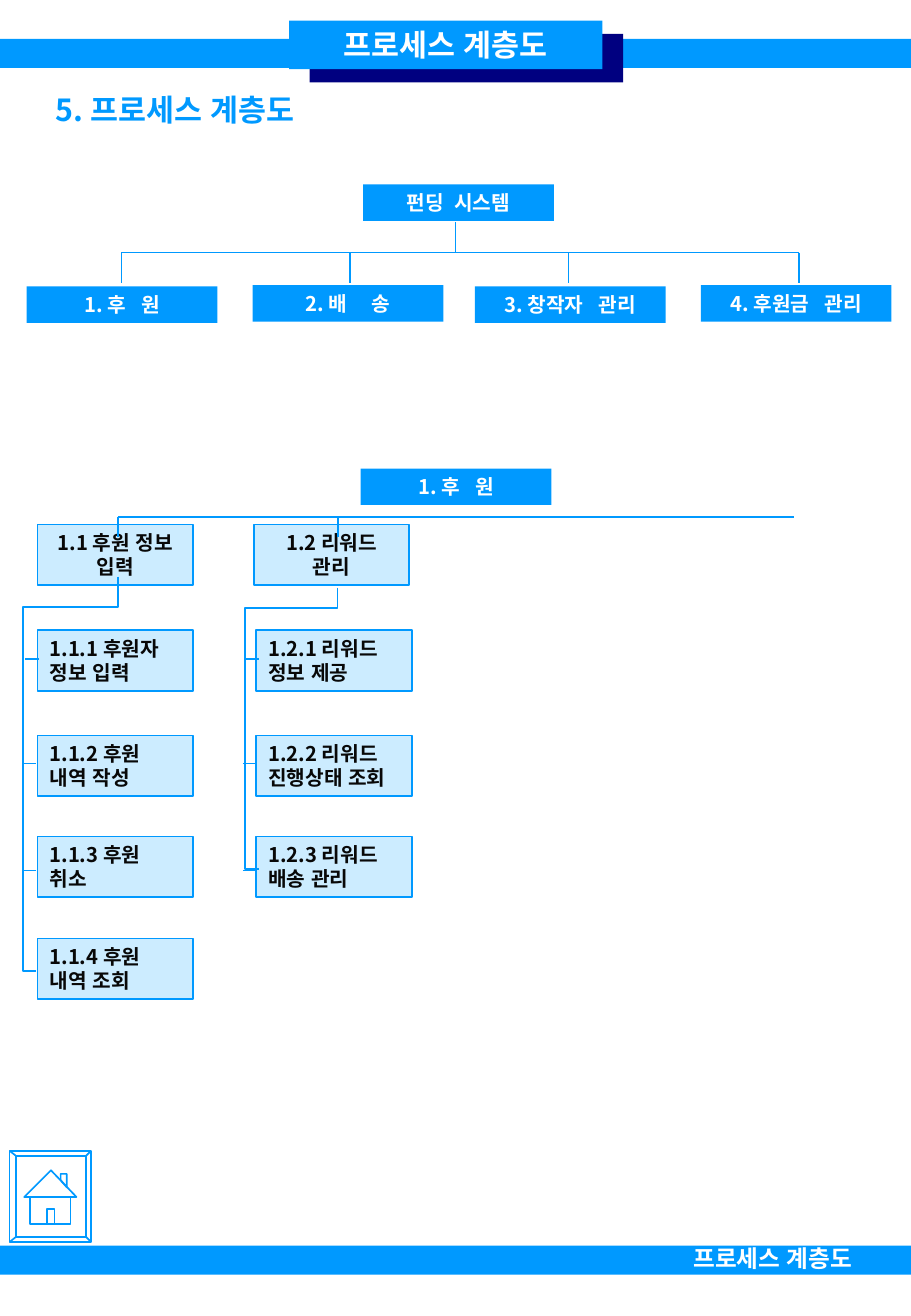
"""Builds the process hierarchy page of the funding system."""
from dataclasses import dataclass
from typing import Optional

from lxml.etree import SubElement
from pptx import Presentation
from pptx.dml.color import RGBColor
from pptx.enum.lang import MSO_LANGUAGE_ID
from pptx.enum.shapes import MSO_CONNECTOR, MSO_SHAPE
from pptx.enum.text import MSO_ANCHOR, MSO_AUTO_SIZE, PP_ALIGN
from pptx.oxml.ns import qn
from pptx.util import Emu, Pt

PX_PER_INCH = 100
SCALE = 914400 // PX_PER_INCH
FONT = "Noto Sans CJK KR"
BLUE, PALE, NAVY, WHITE, BLACK = "0099FF", "CCECFF", "000080", "FFFFFF", "080808"
LINE_HEIGHT = 1.19

Point = tuple[int, int]


@dataclass(frozen=True)
class Box:
    x: int
    y: int
    w: int
    h: int
    text: str = ""
    fill: str = BLUE
    outline: Optional[str] = None
    ink: str = WHITE
    size: int = 12
    align: PP_ALIGN = PP_ALIGN.CENTER
    last_gap: float = 0


@dataclass(frozen=True)
class Contour:
    points: list[Point]
    closed: bool = True


def px(length: int) -> Emu:
    return Emu(length * SCALE)


def colour(value: str) -> RGBColor:
    return RGBColor.from_string(value)


def write(frame, text: str, size: int, ink: str, align: PP_ALIGN,
          anchor: MSO_ANCHOR, last_gap: float = 0) -> None:
    frame.word_wrap = True
    frame.auto_size = MSO_AUTO_SIZE.NONE
    frame.vertical_anchor = anchor
    frame.margin_left = frame.margin_right = px(10)
    frame.margin_top = frame.margin_bottom = px(5)
    paragraph = frame.paragraphs[0]
    if last_gap:
        for part in text.rpartition(" "):
            run = paragraph.add_run()
            run.text = part
            if part == " ":
                run.font._element.set("spc", str(round(last_gap * 100)))
    else:
        paragraph.text = text
    paragraph.alignment = align
    paragraph.line_spacing = Pt(round(size * LINE_HEIGHT, 1))
    font = paragraph.font
    font.name, font.size, font.bold = FONT, Pt(size), True
    font.color.rgb = colour(ink)
    font.language_id = MSO_LANGUAGE_ID.KOREAN
    SubElement(font._element, qn("a:ea")).set("typeface", FONT)


def draw_box(shapes, box: Box) -> None:
    shape = shapes.add_shape(MSO_SHAPE.RECTANGLE, px(box.x), px(box.y), px(box.w), px(box.h))
    shape.shadow.inherit = False
    shape.fill.solid()
    shape.fill.fore_color.rgb = colour(box.fill)
    if box.outline:
        shape.line.color.rgb = colour(box.outline)
        shape.line.width = Pt(1)
    else:
        shape.line.fill.background()
    if box.text:
        write(shape.text_frame, box.text, box.size, box.ink, box.align,
              MSO_ANCHOR.MIDDLE, box.last_gap)


def draw_line(shapes, start: Point, end: Point) -> None:
    line = shapes.add_connector(MSO_CONNECTOR.STRAIGHT, *map(px, start), *map(px, end))
    line.line.color.rgb = colour(BLUE)
    line.line.width = Pt(1)
    SubElement(line._element.spPr, qn("a:effectLst"))


def draw_outline(shapes, contours: list[Contour]) -> None:
    builder = shapes.build_freeform(*contours[0].points[0], scale=SCALE)
    for index, contour in enumerate(contours):
        if index:
            builder.move_to(*contour.points[0])
        builder.add_line_segments(contour.points[1:], close=contour.closed)
    outline = builder.convert_to_shape()
    outline.shadow.inherit = False
    outline.fill.background()
    outline.line.color.rgb = colour(BLUE)
    outline.line.width = Pt(1)


def system(x: int, y: int, text: str, last_gap: float) -> Box:
    return Box(x, y, 157, 30, text, last_gap=last_gap)


def process(x: int, y: int, text: str, align: PP_ALIGN = PP_ALIGN.LEFT) -> Box:
    return Box(x, y, 128, 50, text, PALE, BLUE, BLACK, align=align)


def draw_system_tree(shapes) -> None:
    draw_box(shapes, system(299, 152, "펀딩 시스템", 2.7))
    branches = [
        (system(22, 236, "1. 후 원", 5.4), 100),
        (system(208, 235, "2. 배 송", 10.8), 288),
        (system(391, 236, "3. 창작자 관리", 5.4), 468),
        (system(577, 235, "4. 후원금 관리", 5.4), 658),
    ]
    draw_line(shapes, (375, 183), (375, 208))
    draw_line(shapes, (100, 208), (658, 208))
    for branch, drop in branches:
        draw_box(shapes, branch)
        draw_line(shapes, (drop, 208), (drop, 233))


def draw_support_tree(shapes) -> None:
    rows = [519, 606, 689, 773]
    tick_rows = [543, 629, 717]
    draw_box(shapes, system(297, 386, "1. 후 원", 5.4))
    groups = [
        (process(31, 432, "1.1 후원 정보 입력", PP_ALIGN.CENTER), 31,
         ["1.1.1 후원자 정보 입력", "1.1.2 후원 내역 작성", "1.1.3 후원 취소", "1.1.4 후원 내역 조회"],
         [(97, 475), (97, 500), (19, 500), (19, 800), (30, 800)], [21, 19, 19]),
        (process(209, 432, "1.2 리워드 관리", PP_ALIGN.CENTER), 211,
         ["1.2.1 리워드 정보 제공", "1.2.2 리워드 진행상태 조회", "1.2.3 리워드 배송 관리"],
         [(278, 484), (278, 501), (202, 501), (202, 716), (213, 716)], [202, 200, 200]),
    ]
    draw_line(shapes, (97, 426), (654, 426))
    for heading, left, steps, trunk, ticks in groups:
        draw_box(shapes, heading)
        for top, step in zip(rows, steps):
            draw_box(shapes, process(left, top, step))
        draw_outline(shapes, [Contour(trunk, closed=False)])
        for x, y in zip(ticks, tick_rows):
            draw_line(shapes, (x, y), (x + 11, y))
        drop = trunk[0][0]
        draw_line(shapes, (drop, 442), (drop, 426))


def draw_home_button(shapes) -> None:
    rim = [(8, 948), (75, 948), (75, 1023), (8, 1023)]
    face = [(13, 952), (71, 952), (71, 1019), (13, 1019)]
    bevels = [Contour([outer, inner], closed=False) for outer, inner in zip(rim, face)]
    roof = [(42, 964), (63, 986), (20, 986)]
    chimney = [(50, 972), (50, 967), (55, 967), (55, 978)]
    walls = [(25, 986), (58, 986), (58, 1008), (25, 1008)]
    door = [(39, 996), (45, 996), (45, 1008), (39, 1008)]
    draw_outline(shapes, [Contour(rim), Contour(face), *bevels, Contour(roof),
                          Contour(chimney), Contour(walls), Contour(door)])


def main() -> None:
    deck = Presentation()
    deck.slide_width, deck.slide_height = px(750), px(1084)
    shapes = deck.slides.add_slide(deck.slide_layouts[5]).shapes

    heading = shapes.title
    heading.left, heading.top, heading.width, heading.height = map(px, (36, 70, 464, 40))
    write(heading.text_frame, "5. 프로세스 계층도", 18, BLUE, PP_ALIGN.LEFT, MSO_ANCHOR.TOP)

    for bar_top in (1026, 32):
        draw_box(shapes, Box(0, bar_top, 750, 24))
    footer = shapes.add_textbox(px(561), px(1020), px(173), px(34))
    write(footer.text_frame, "프로세스 계층도", 14, WHITE, PP_ALIGN.LEFT, MSO_ANCHOR.TOP)

    draw_system_tree(shapes)
    draw_support_tree(shapes)
    draw_box(shapes, Box(255, 28, 258, 40, fill=NAVY))
    draw_box(shapes, Box(238, 17, 258, 40, "프로세스 계층도", size=18))
    draw_home_button(shapes)
    deck.save("out.pptx")


if __name__ == "__main__":
    main()
